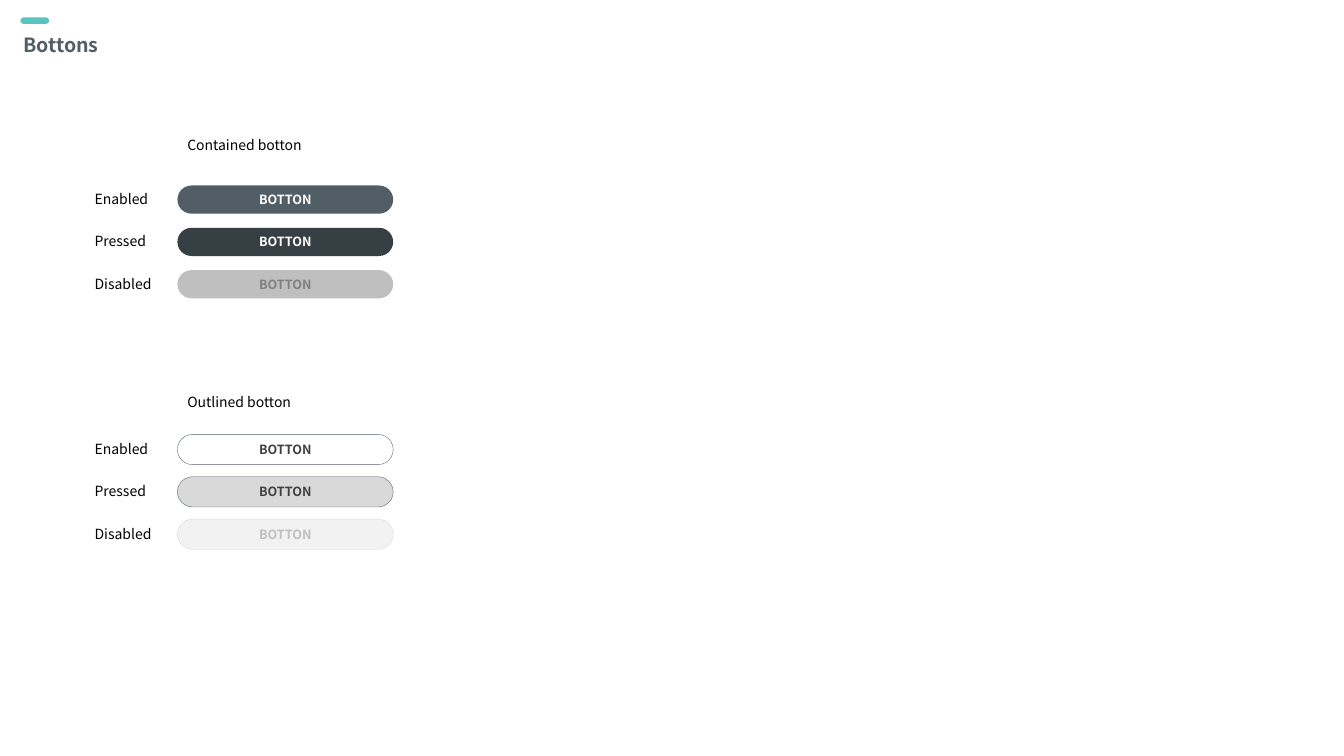
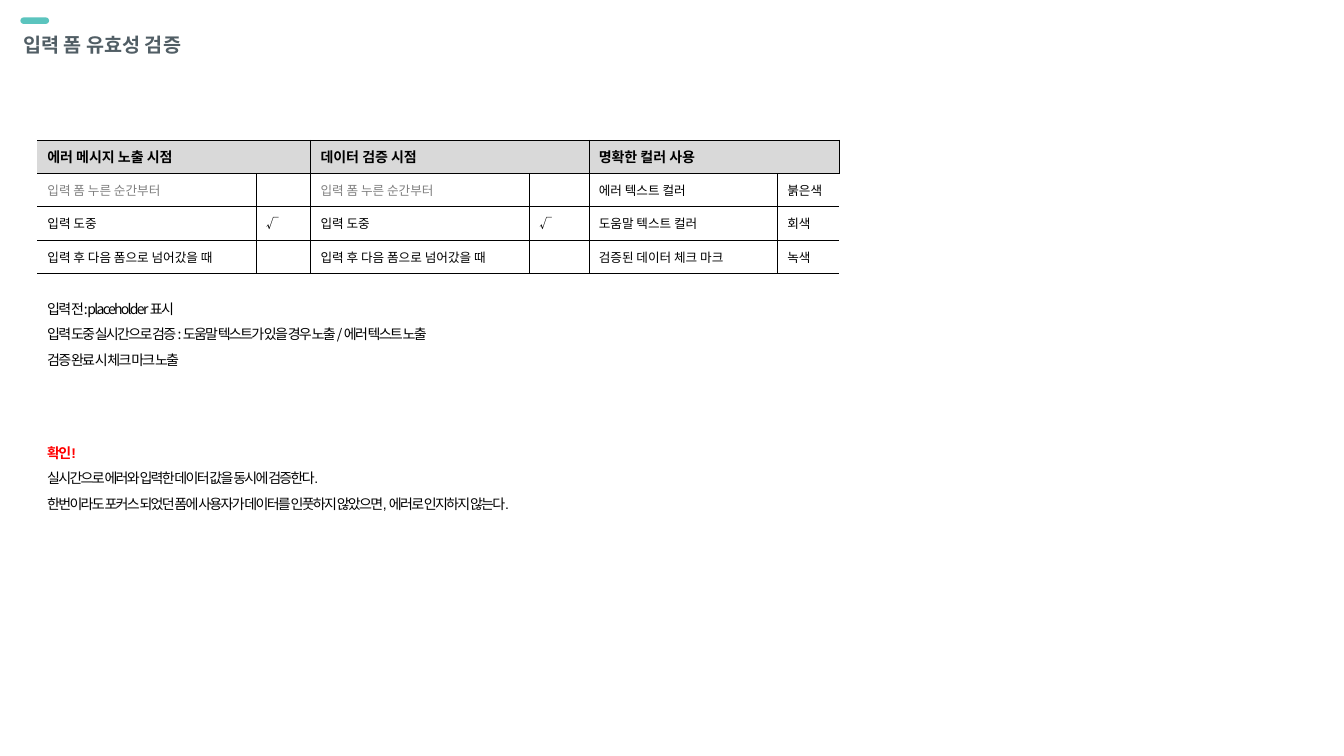
from lxml import etree
from pptx import Presentation
from pptx.dml.color import RGBColor
from pptx.enum.shapes import MSO_SHAPE
from pptx.enum.text import MSO_ANCHOR, MSO_AUTO_SIZE, PP_ALIGN
from pptx.oxml.ns import qn
from pptx.util import Emu, Pt

PILL = MSO_SHAPE.ROUNDED_RECTANGLE
MIDDLE = MSO_ANCHOR.MIDDLE
LEFT, CENTER = PP_ALIGN.LEFT, PP_ALIGN.CENTER
FIT_SHAPE, NO_FIT = MSO_AUTO_SIZE.SHAPE_TO_FIT_TEXT, MSO_AUTO_SIZE.NONE

EMU_PER_PX = 9144  # 100 px to the inch
FONT = "Noto Sans CJK KR"
BLACK, WHITE, RED = "000000", "FFFFFF", "FF0000"
SLATE, DARK_SLATE, TEAL = "515E65", "363F44", "5BC4BE"
CHARCOAL, GRAY, SILVER = "404040", "808080", "BFBFBF"
LIGHT, PALE = "D9D9D9", "F2F2F2"
HAIRLINE = 0.25


def px(*lengths):
    return [Emu(length * EMU_PER_PX) for length in lengths]


def rgb(hex_string):
    return RGBColor.from_string(hex_string)


def write(paragraph, text, size=10, color=BLACK, bold=False, font=FONT,
          align=LEFT, line_spacing=None, tracking=None):
    """Add one formatted run; tracking is in hundredths of a point."""
    paragraph.alignment = align
    if line_spacing:
        paragraph.line_spacing = line_spacing
    run = paragraph.add_run()
    run.text = text
    run.font.size = Pt(size)
    run.font.bold = bold
    run.font.name = font
    run.font.color.rgb = rgb(color)
    properties = run.font._element
    properties.find(qn("a:latin")).addnext(
        properties.makeelement(qn("a:ea"), {"typeface": FONT}))
    if tracking:
        properties.set("spc", str(tracking))


def set_borders(cell, sides):
    """Draw hairlines on the sides in "LRTB" that are named, none on the rest."""
    properties = cell._tc.get_or_add_tcPr()
    for side in "LRTB":
        border = etree.SubElement(properties, qn(f"a:ln{side}"),
                                  w=str(Pt(HAIRLINE)))
        if side in sides:
            solid = etree.SubElement(border, qn("a:solidFill"))
            etree.SubElement(solid, qn("a:srgbClr"), val=BLACK)
        else:
            etree.SubElement(border, qn("a:noFill"))


class Guide:
    """The style guide's deck and its current slide."""

    def __init__(self):
        self.deck = Presentation()
        self.deck.slide_width, self.deck.slide_height = px(1333, 750)
        self.slide = None

    def add_page(self, heading):
        self.slide = self.deck.slides.add_slide(self.deck.slide_layouts[5])
        self.pill(21, 18, 27, 5, TEAL, TEAL, line_width=1)
        title = self.slide.shapes.title
        title.left, title.top, title.width, title.height = px(13, 24, 1233, 44)
        title.text_frame.vertical_anchor = MIDDLE
        title.text_frame.auto_size = NO_FIT
        write(title.text_frame.paragraphs[0], heading, size=14, color=SLATE,
              bold=True, line_spacing=0.9)

    def pill(self, left, top, width, height, fill, outline=None,
             line_width=HAIRLINE):
        pill = self.slide.shapes.add_shape(PILL, *px(left, top, width, height))
        pill.adjustments[0] = 0.5
        pill.shadow.inherit = False
        pill.fill.solid()
        pill.fill.fore_color.rgb = rgb(fill)
        if outline:
            pill.line.color.rgb = rgb(outline)
            pill.line.width = Pt(line_width)
        else:
            pill.line.fill.background()
        return pill

    def button(self, middle, height, fill, color, outline):
        frame = self.pill(176, middle - height // 2, 214, height, fill,
                          outline).text_frame
        frame.vertical_anchor = MIDDLE
        write(frame.paragraphs[0], "BOTTON", size=9, color=color, bold=True,
              align=CENTER)

    def text(self, left, top, width, height, lines, **shared):
        """Write lines, each a (text, own format) pair, in one text box."""
        box = self.slide.shapes.add_textbox(*px(left, top, width, height))
        frame = box.text_frame
        frame.word_wrap = True
        frame.auto_size = FIT_SHAPE
        for index, (line, own) in enumerate(lines):
            paragraph = frame.add_paragraph() if index else frame.paragraphs[0]
            write(paragraph, line, **{**shared, **own})

    def button_group(self, heading, heading_top, first_middle, height, states):
        self.text(176, heading_top, 177, 27, [(heading, {})])
        for row, (state, fill, color, outline) in enumerate(states):
            middle = first_middle + row * 42
            self.text(84, middle - 14, 98, 27, [(state, {})])
            self.button(middle, height, fill, color, outline)

    def table(self, left, top, widths, row_height, headings, rows, muted):
        """Each heading spans two columns; muted texts are gray."""
        last = len(widths) - 1
        grid = self.slide.shapes.add_table(
            len(rows) + 1, len(widths),
            *px(left, top, sum(widths), row_height * (len(rows) + 1))).table
        grid.first_row = grid.horz_banding = False
        for column, width in zip(grid.columns, px(*widths)):
            column.width = width
        header = [text for heading in headings for text in (heading, "")]
        for r, texts in enumerate([header, *rows]):
            for c, text in enumerate(texts):
                cell = grid.cell(r, c)
                set_borders(cell, "TB" + "L" * (c > 0) + "R" * (c < last))
                cell.fill.solid()
                cell.fill.fore_color.rgb = rgb(WHITE if r else LIGHT)
                cell.vertical_anchor = MIDDLE
                paragraph = cell.text_frame.paragraphs[0]
                if text:
                    write(paragraph, text, size=9 if r else 10, bold=r == 0,
                          color=GRAY if text in muted else BLACK)
                else:
                    etree.SubElement(paragraph._p, qn("a:endParaRPr"), sz="900")
        for c in range(0, last, 2):
            grid.cell(0, c).merge(grid.cell(0, c + 1))
        for c in range(1, last, 2):
            set_header_end(grid.cell(0, c - 1), c == last)


def set_header_end(cell, is_last):
    """Give a merged heading the right border of its last column."""
    properties = cell._tc.tcPr
    for border in properties.findall(qn("a:lnR")):
        if is_last:
            for line_fill in list(border):
                border.remove(line_fill)
            etree.SubElement(border, qn("a:noFill"))


def main():
    guide = Guide()

    guide.add_page("Bottons")
    guide.button_group("Contained botton", 131, 198, 28, [
        ("Enabled", SLATE, WHITE, None),
        ("Pressed", DARK_SLATE, WHITE, None),
        ("Disabled", SILVER, GRAY, None),
    ])
    guide.button_group("Outlined botton", 385, 446, 30, [
        ("Enabled", WHITE, CHARCOAL, SLATE),
        ("Pressed", LIGHT, CHARCOAL, SLATE),
        ("Disabled", PALE, SILVER, LIGHT),
    ])

    guide.add_page("입력 폼 유효성 검증")
    on_press, typing, on_leave = (
        "입력 폼 누른 순간부터", "입력 도중", "입력 후 다음 폼으로 넘어갔을 때")
    guide.table(
        37, 139, [217, 54, 217, 59, 187, 61], 33,
        ["에러 메시지 노출 시점", "데이터 검증 시점", "명확한 컬러 사용"],
        [[on_press, "", on_press, "", "에러 텍스트 컬러", "붉은색"],
         [typing, "√", typing, "√", "도움말 텍스트 컬러", "회색"],
         [on_leave, "", on_leave, "", "검증된 데이터 체크 마크", "녹색"]],
        muted=[on_press])
    notes = {"line_spacing": 1.5, "tracking": -120}
    guide.text(37, 285, 727, 86, [
        ("입력 전: placeholder 표시", {}),
        ("입력 도중 실시간으로 검증 : 도움말 텍스트가 있을 경우 노출 / 에러 텍스트 노출", {}),
        ("검증 완료 시 체크 마크 노출", {}),
    ], **notes)
    guide.text(37, 428, 581, 86, [
        ("확인!", {"color": RED, "bold": True}),
        ("실시간으로 에러와 입력한 데이터 값을 동시에 검증한다.", {}),
        ("한번이라도 포커스 되었던 폼에 사용자가 데이터를 인풋하지 않았으면, "
         "에러로 인지하지 않는다.", {}),
    ], font="Arial", **notes)

    guide.deck.save("out.pptx")


if __name__ == "__main__":
    main()
